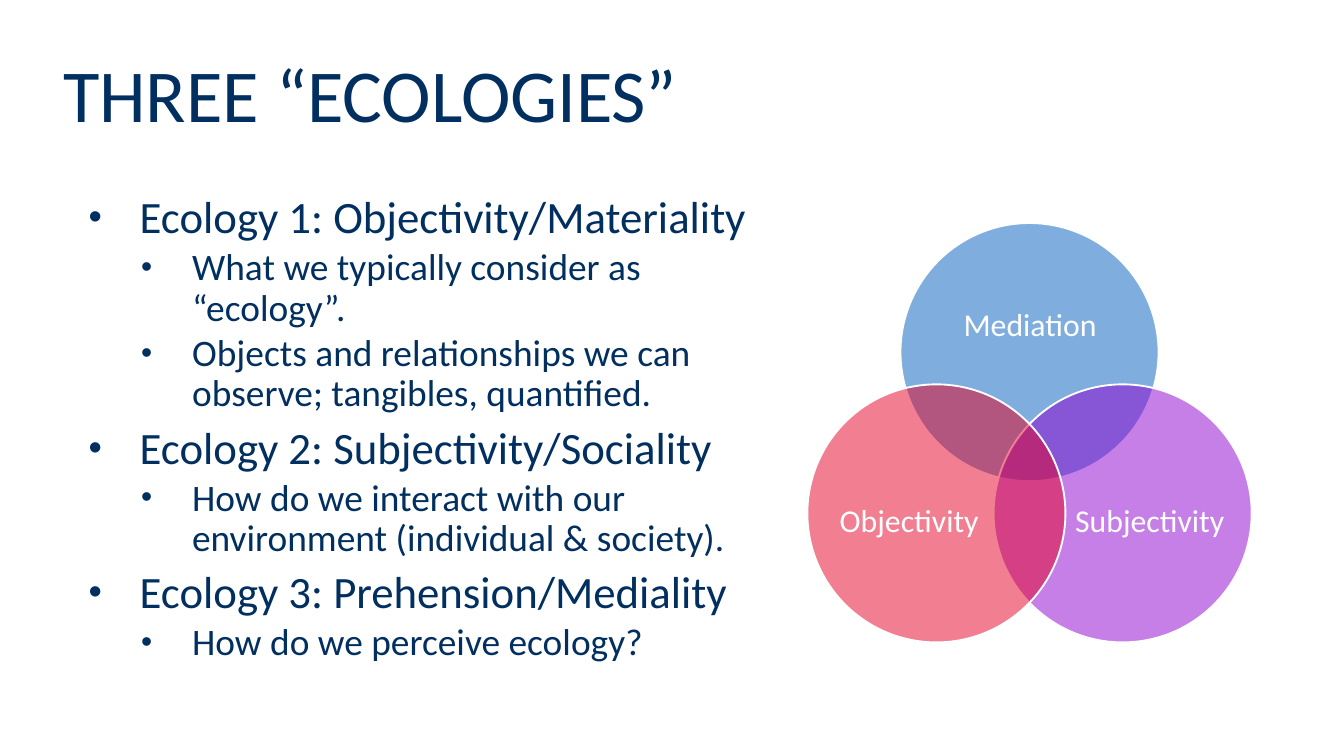
import math

import lxml.etree
import pptx
import pptx.dml.color
import pptx.enum.shapes
import pptx.enum.text
import pptx.oxml.ns
import pptx.util

Inches = pptx.util.Inches
Pt = pptx.util.Pt
qn = pptx.oxml.ns.qn

SLIDE_WIDTH = 10
SLIDE_HEIGHT = SLIDE_WIDTH * 9 / 16

COLORS = {
    "navy": "002F60",
    "white": "FFFFFF",
    "blue": "005FBE",
    "purple": "8D00D1",
    "red": "E50024",
}

OUTLINE = [
    (0, "Ecology 1: Objectivity/Materiality"),
    (1, "What we typically consider as “ecology”."),
    (1, "Objects and relationships we can observe; tangibles, quantified."),
    (0, "Ecology 2: Subjectivity/Sociality"),
    (1, "How do we interact with our environment (individual & society)."),
    (0, "Ecology 3: Prehension/Mediality"),
    (1, "How do we perceive ecology?"),
]
LEVELS = [
    {"size": 24, "space_before": 5.6, "indent": 0.38},
    {"size": 20, "space_before": 2.8, "indent": 0.77},
]
HANGING = 0.38

VENN_CENTER = (7.66, 3.42)
VENN_RING = 0.8
VENN_DIAMETER = 1.92
VENN_SETS = [
    ("Mediation", "blue", -90, (6.96, 2, 1.41, 0.86)),
    ("Subjectivity", "purple", 30, (7.98, 3.36, 1.15, 1.06)),
    ("Objectivity", "red", 150, (6.19, 3.36, 1.15, 1.06)),
]


def rgb(name):
    return pptx.dml.color.RGBColor.from_string(COLORS[name])


def write_text(paragraph, text, size, color="navy", font="Calibri",
               align="LEFT", line_spacing=0.9, space_before=0):
    paragraph.alignment = getattr(pptx.enum.text.PP_ALIGN, align)
    paragraph.line_spacing = line_spacing
    paragraph.space_before = Pt(space_before)
    run = paragraph.add_run()
    run.text = text
    run.font.size = Pt(size)
    run.font.name = font
    run.font.color.rgb = rgb(color)


def add_bullet(paragraph, indent):
    properties = paragraph._p.get_or_add_pPr()
    properties.set("marL", str(Inches(indent)))
    properties.set("indent", str(-Inches(HANGING)))
    for tag, attribute, value in (
        ("a:buSzPct", "val", "85000"),
        ("a:buFont", "typeface", "Arial"),
        ("a:buChar", "char", "•"),
    ):
        lxml.etree.SubElement(properties, qn(tag)).set(attribute, value)


class SlideBuilder:
    def __init__(self, slide):
        self.slide = slide

    def text_frame(self, shapes, box, anchor="TOP"):
        shape = shapes.add_textbox(*map(Inches, box))
        frame = shape.text_frame
        frame.word_wrap = True
        frame.vertical_anchor = getattr(pptx.enum.text.MSO_ANCHOR, anchor)
        frame.margin_left = frame.margin_right = 0
        frame.margin_top = frame.margin_bottom = 0
        return frame

    def title(self, text, box):
        frame = self.text_frame(self.slide.shapes, box)
        write_text(frame.paragraphs[0], text, 40, line_spacing=Pt(41))

    def outline(self, items, box):
        frame = self.text_frame(self.slide.shapes, box)
        for index, (level, text) in enumerate(items):
            paragraph = frame.add_paragraph() if index else frame.paragraphs[0]
            style = LEVELS[level]
            paragraph.level = level
            add_bullet(paragraph, style["indent"])
            write_text(paragraph, text, style["size"],
                       space_before=style["space_before"] if index else 0)

    def circle(self, shapes, center_x, center_y, diameter, color):
        shape = shapes.add_shape(
            pptx.enum.shapes.MSO_SHAPE.OVAL,
            Inches(center_x - diameter / 2), Inches(center_y - diameter / 2),
            Inches(diameter), Inches(diameter))
        shape.shadow.inherit = False
        shape.fill.solid()
        shape.fill.fore_color.rgb = rgb(color)
        fill_color = shape._element.spPr.find(qn("a:solidFill"))[0]
        lxml.etree.SubElement(fill_color, qn("a:alpha")).set("val", "50000")
        shape.line.color.rgb = rgb("white")
        shape.line.width = Pt(1)

    def venn(self, sets):
        shapes = self.slide.shapes.add_group_shape().shapes
        for label, color, degrees, label_box in sets:
            angle = math.radians(degrees)
            self.circle(shapes,
                        VENN_CENTER[0] + VENN_RING * math.cos(angle),
                        VENN_CENTER[1] + VENN_RING * math.sin(angle),
                        VENN_DIAMETER, color)
            frame = self.text_frame(shapes, label_box, anchor="MIDDLE")
            write_text(frame.paragraphs[0], label, 17, "white", align="CENTER")


def main():
    presentation = pptx.Presentation()
    presentation.slide_width = Inches(SLIDE_WIDTH)
    presentation.slide_height = Inches(SLIDE_HEIGHT)
    slide = presentation.slides.add_slide(presentation.slide_layouts[6])
    builder = SlideBuilder(slide)
    builder.title("THREE “ECOLOGIES”", (0.47, 0.45, 9.05, 0.56))
    builder.outline(OUTLINE, (0.66, 1.45, 5.27, 3.53))
    builder.venn(VENN_SETS)
    presentation.save("out.pptx")


if __name__ == "__main__":
    main()
